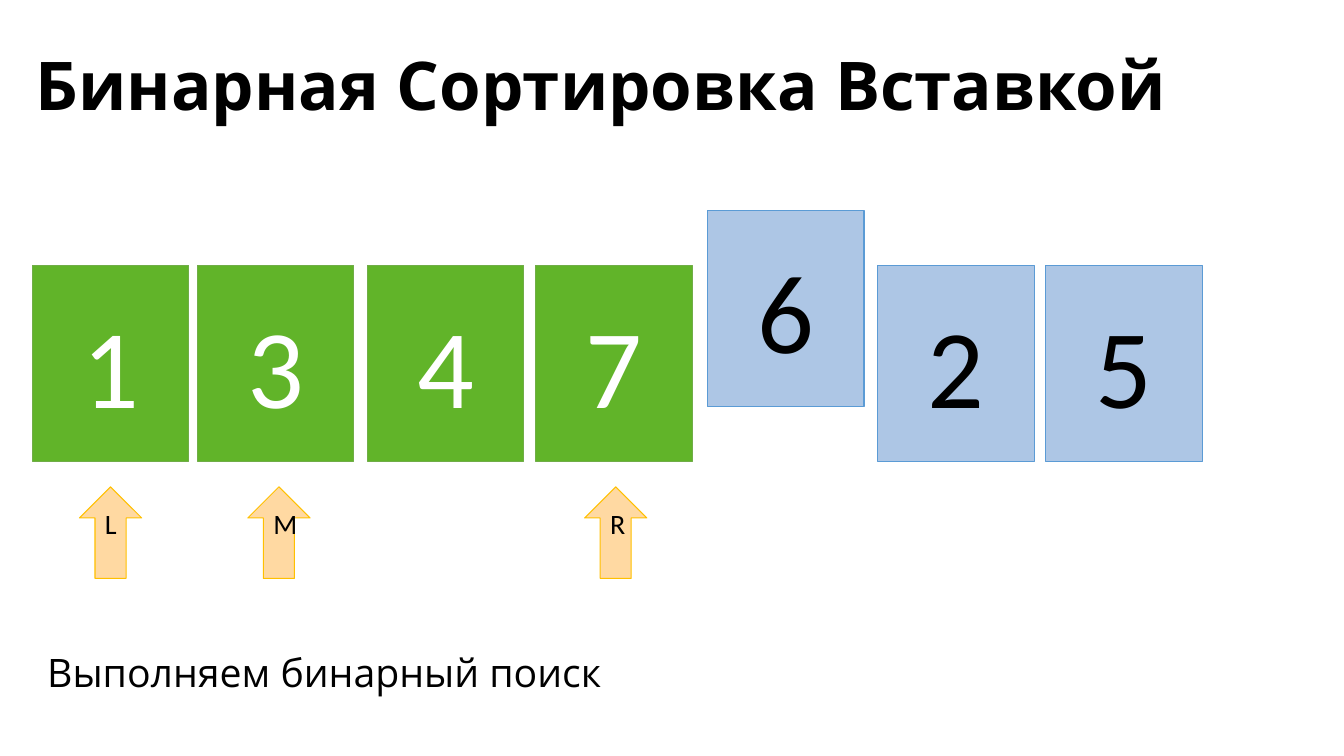
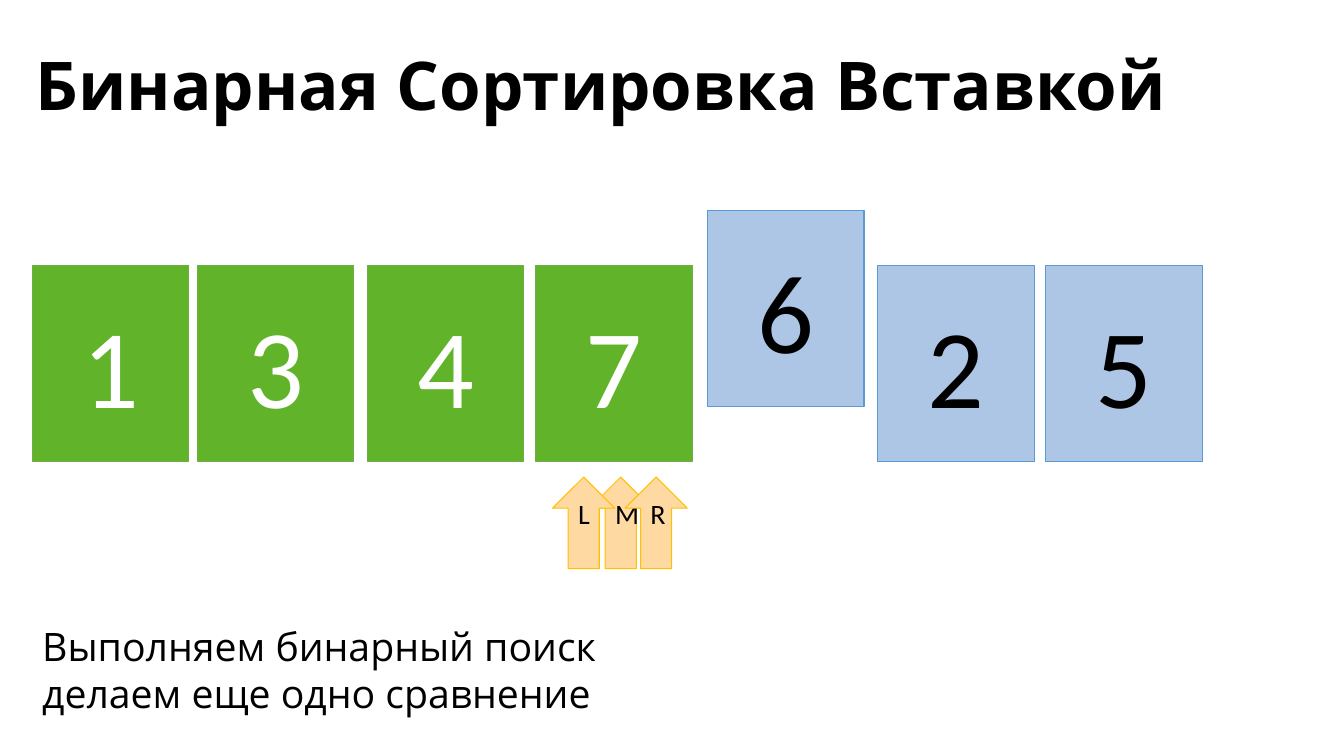
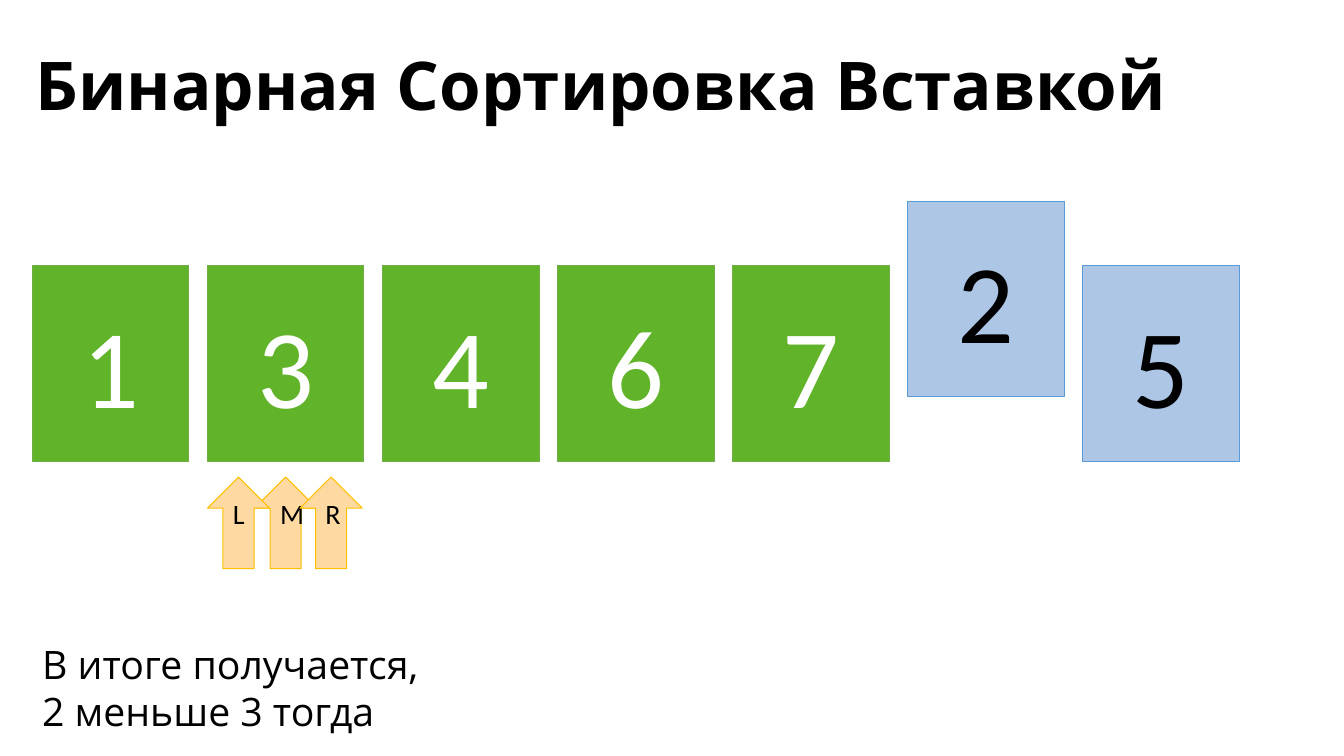
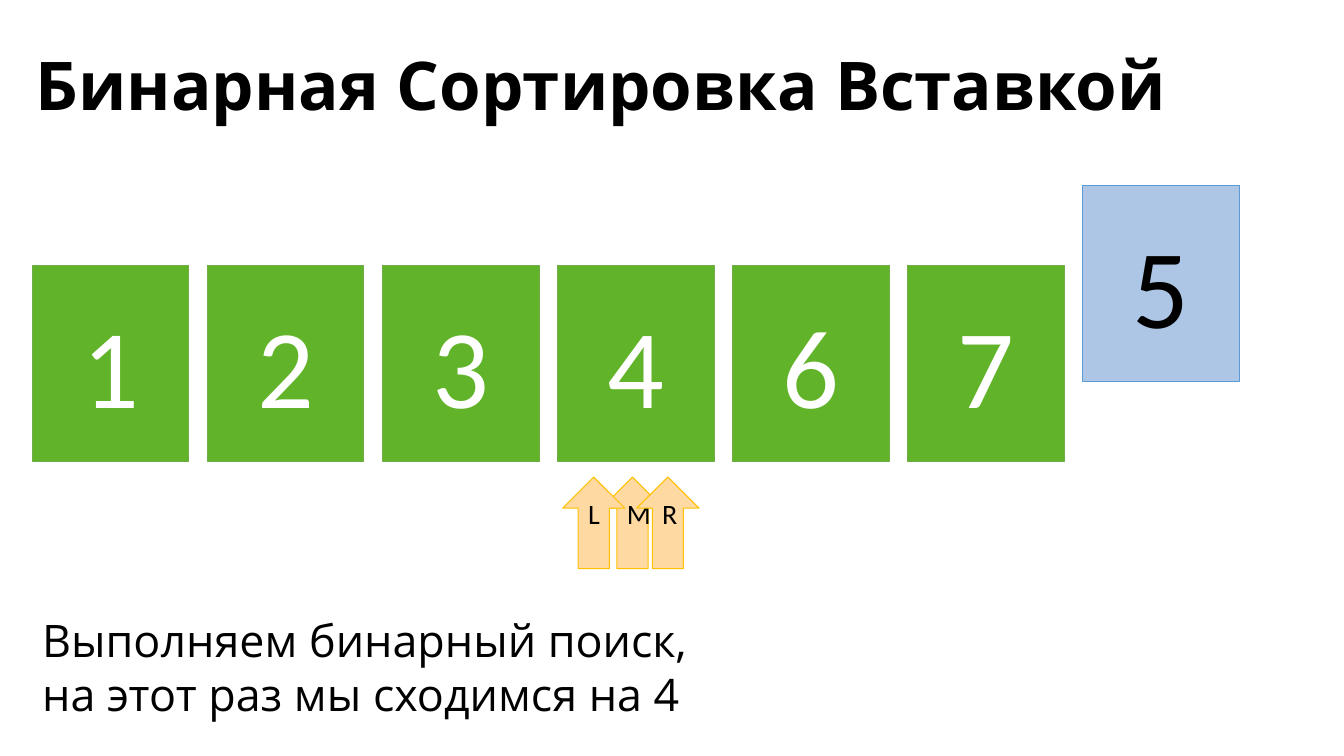
from dataclasses import dataclass
from typing import Any

from pptx import Presentation
from pptx.dml.color import RGBColor
from pptx.enum.shapes import MSO_SHAPE
from pptx.enum.text import MSO_ANCHOR, MSO_AUTO_SIZE, PP_ALIGN
from pptx.util import Inches, Pt

RECTANGLE, UP_ARROW = MSO_SHAPE.RECTANGLE, MSO_SHAPE.UP_ARROW
MIDDLE, BOTTOM = MSO_ANCHOR.MIDDLE, MSO_ANCHOR.BOTTOM
LEFT, CENTER = PP_ALIGN.LEFT, PP_ALIGN.CENTER
GROW = MSO_AUTO_SIZE.SHAPE_TO_FIT_TEXT
TITLE_ONLY = 5
TITLE = "Бинарная Сортировка Вставкой"


@dataclass(frozen=True)
class Palette:
    fill: str
    line: str
    text: str


@dataclass(frozen=True)
class Theme:
    heading_font: str = "Open Sans"
    shape_font: str = "Calibri"
    text: str = "000000"
    title_size: int = 48
    card_size: int = 80
    pointer_size: int = 20
    caption_size: int = 28
    large_caption_size: int = 32
    line_width: float = 0.75
    sorted_card: Palette = Palette("61B429", "70AD47", "FFFFFF")
    waiting_card: Palette = Palette("ADC6E5", "5B9BD5", "000000")
    pointer: Palette = Palette("FFD9A2", "FFC000", "000000")


@dataclass(frozen=True)
class Grid:
    width: float = 13.33
    height: float = 7.5
    margin: float = 0.32
    column: float = 1.67
    row: float = 0.75


@dataclass(frozen=True)
class Area:
    column: float
    row: float
    columns: float
    rows: float

    def placement(self) -> tuple[int, int, int, int]:
        return (
            Inches(GRID.margin + self.column * GRID.column),
            Inches(self.row * GRID.row),
            Inches(self.columns * GRID.column),
            Inches(self.rows * GRID.row),
        )


@dataclass(frozen=True)
class Caption:
    lines: tuple[str, ...]
    area: Area
    size: int


@dataclass(frozen=True)
class Step:
    numbers: str
    sorted_count: int
    lift: float
    card_columns: tuple[float, ...]
    pointer_row: float
    pointer_columns: dict[str, float]
    caption: Caption


THEME = Theme()
GRID = Grid()
TITLE_AREA = Area(-0.04, 0.39, 7.66, 1.33)
CARD_ROW, CARD_COLUMNS, CARD_ROWS = 3.51, 0.93, 2.59
POINTER_COLUMNS, POINTER_ROWS = 0.37, 1.21
FIRST_ROW_COLUMNS = (0, 0.98, 1.99, 2.99, 4.01, 5.02, 6.02)
EVEN_COLUMNS = tuple(1.04 * index for index in range(7))

STEPS = (
    Step("1347625", 4, 0.72, FIRST_ROW_COLUMNS, 6.44, {"M": 1, "L": 0, "R": 3},
         Caption(("Выполняем бинарный поиск",),
                 Area(0.03, 8.51, 3.43, 0.76), THEME.caption_size)),
    Step("1347625", 4, 0.72, FIRST_ROW_COLUMNS, 6.31, {"M": 3.03, "L": 2.81, "R": 3.24},
         Caption(("Выполняем бинарный поиск", "делаем еще одно сравнение"),
                 Area(0, 8.16, 3.44, 1.39), THEME.caption_size)),
    Step("1346725", 5, 0.85, EVEN_COLUMNS, 6.31, {"M": 1.04, "L": 0.76, "R": 1.31},
         Caption(("В итоге получается,", "2 меньше 3 тогда"),
                 Area(0, 8.41, 2.45, 1.39), THEME.caption_size)),
    Step("1234675", 6, 1.05, EVEN_COLUMNS, 6.31, {"M": 3.1, "L": 2.87, "R": 3.31},
         Caption(("Выполняем бинарный поиск,", "на этот раз мы сходимся на 4"),
                 Area(0, 8.04, 4.06, 1.57), THEME.large_caption_size)),
)


def apply_format(target: Any, values: dict[str, Any]) -> None:
    for name, value in values.items():
        setattr(target, name, value)


def write_text(shape: Any, lines: tuple[str, ...], font: dict[str, Any], color: str,
               frame: dict[str, Any], paragraph_format: dict[str, Any]) -> None:
    text_frame = shape.text_frame
    text_frame.text = "\n".join(lines)
    apply_format(text_frame, frame)
    for paragraph in text_frame.paragraphs:
        apply_format(paragraph, paragraph_format)
        for run in paragraph.runs:
            apply_format(run.font, font)
            run.font.color.rgb = RGBColor.from_string(color)


def add_title(slide: Any) -> None:
    title = slide.shapes.title
    title.left, title.top, title.width, title.height = TITLE_AREA.placement()
    write_text(title, (TITLE,),
               {"name": THEME.heading_font, "size": Pt(THEME.title_size), "bold": True},
               THEME.text, {"vertical_anchor": BOTTOM, "word_wrap": True},
               {"alignment": LEFT, "line_spacing": 0.9})


def add_labelled_shape(slide: Any, kind: Any, area: Area, label: str, size: int,
                       palette: Palette) -> None:
    shape = slide.shapes.add_shape(kind, *area.placement())
    shape.shadow.inherit = False
    shape.fill.solid()
    shape.fill.fore_color.rgb = RGBColor.from_string(palette.fill)
    shape.line.color.rgb = RGBColor.from_string(palette.line)
    shape.line.width = Pt(THEME.line_width)
    write_text(shape, (label,), {"name": THEME.shape_font, "size": Pt(size)},
               palette.text, {"vertical_anchor": MIDDLE, "word_wrap": True},
               {"alignment": CENTER})


def add_cards(slide: Any, step: Step) -> None:
    for index, (number, column) in enumerate(zip(step.numbers, step.card_columns)):
        row = CARD_ROW - (step.lift if index == step.sorted_count else 0)
        palette = THEME.sorted_card if index < step.sorted_count else THEME.waiting_card
        add_labelled_shape(slide, RECTANGLE, Area(column, row, CARD_COLUMNS, CARD_ROWS),
                           number, THEME.card_size, palette)


def add_pointers(slide: Any, step: Step) -> None:
    centering = (CARD_COLUMNS - POINTER_COLUMNS) / 2
    for label, column in step.pointer_columns.items():
        area = Area(column + centering, step.pointer_row, POINTER_COLUMNS, POINTER_ROWS)
        add_labelled_shape(slide, UP_ARROW, area, f"{label} ", THEME.pointer_size,
                           THEME.pointer)


def add_caption(slide: Any, caption: Caption) -> None:
    box = slide.shapes.add_textbox(*caption.area.placement())
    write_text(box, caption.lines,
               {"name": THEME.heading_font, "size": Pt(caption.size)}, THEME.text,
               {"word_wrap": False, "auto_size": GROW}, {"alignment": LEFT})


def main() -> None:
    presentation = Presentation()
    presentation.slide_width = Inches(GRID.width)
    presentation.slide_height = Inches(GRID.height)
    for step in STEPS:
        slide = presentation.slides.add_slide(presentation.slide_layouts[TITLE_ONLY])
        add_title(slide)
        add_cards(slide, step)
        add_pointers(slide, step)
        add_caption(slide, step.caption)
    presentation.save("out.pptx")


if __name__ == "__main__":
    main()
